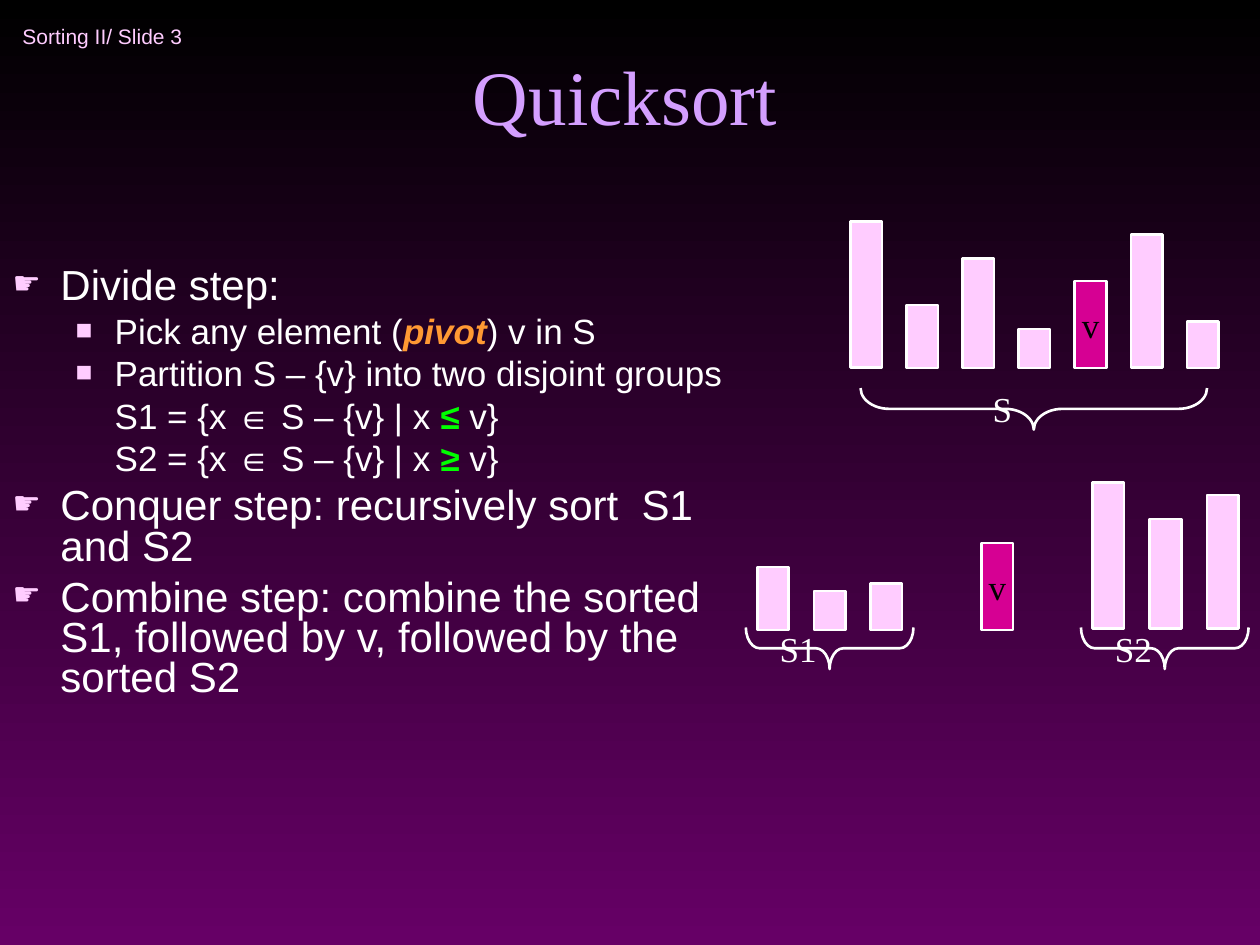
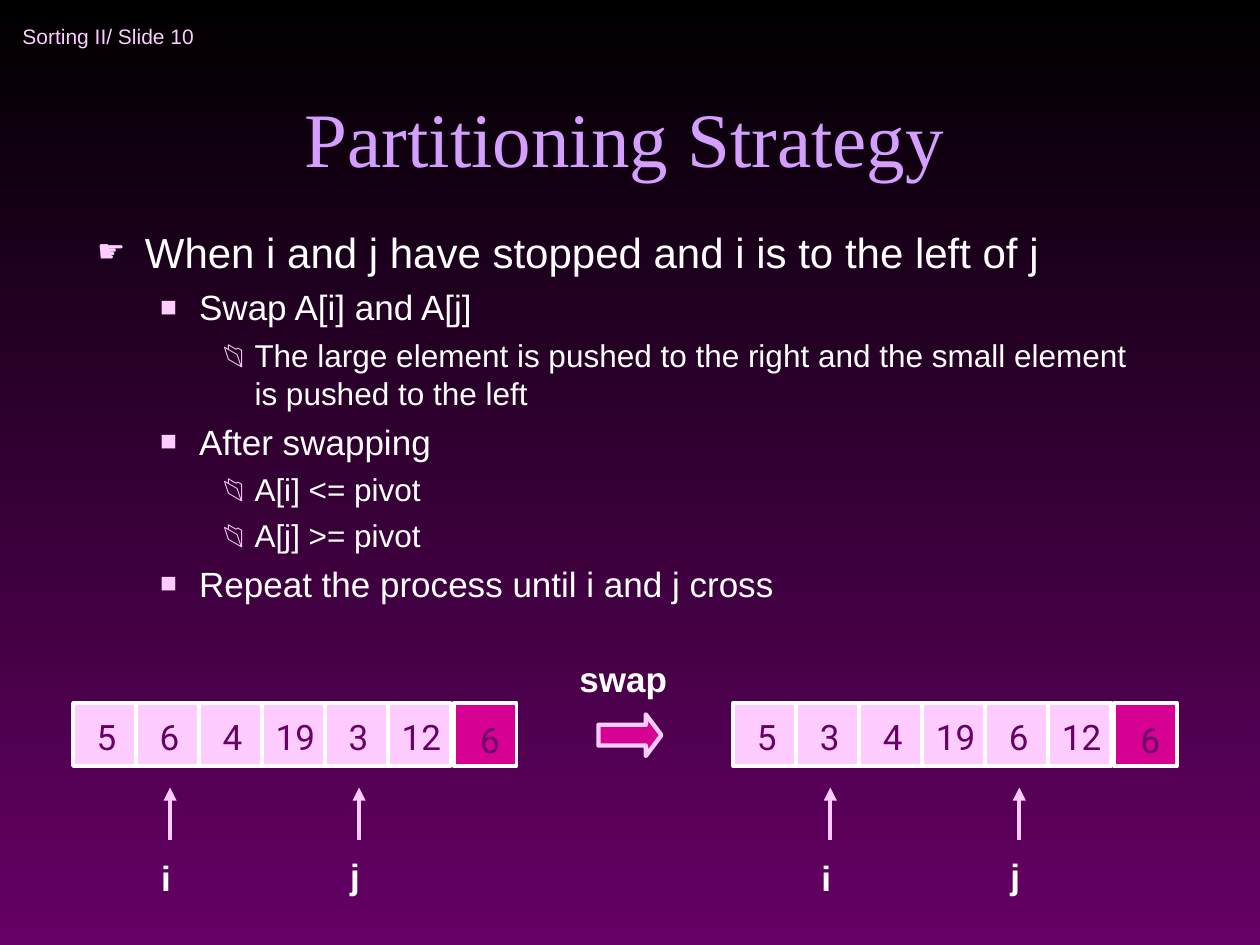
"""Build two lecture slides on quicksort and its partitioning strategy."""
from lxml import etree
from pptx import Presentation
from pptx import util as u
from pptx.dml import color
from pptx.enum import shapes, text
from pptx.oxml import ns

WIDTH, HEIGHT = 10, 7.5
BLACK, WHITE, PURPLE = "000000", "FFFFFF", "660066"
LILAC, PINK, MAGENTA = "D49FFF", "FFCCFF", "D60093"
ORANGE, GREEN = "FF9933", "00FF00"
SERIF, SANS, DIGITS = "Times New Roman", "Arial", "Roboto"

LEVELS = [
    {"bullet": "☛", "percent": 75, "left": 0.38, "hang": 0.38, "size": 24, "before": 6},
    {"bullet": "■", "percent": 80, "left": 0.81, "hang": 0.31, "size": 20, "before": 5},
    {"bullet": "📂", "percent": 80, "left": 1.25, "hang": 0.25, "size": 18, "before": 4.5},
]
PLAIN = {"bullet": None, "left": 0.81, "hang": 0, "size": 20, "before": 5}

PIVOT = {"color": ORANGE, "bold": True, "italic": True}
SIGN = {"color": GREEN, "bold": True}
QUICKSORT = {
    "number": 3,
    "title": "Quicksort",
    "title_at": (0.67, 0.25, 8.58, 0.92),
    "body_at": (0, 2.08, 6, 3.58),
    "spacing": 0.8,
    "body": [
        (LEVELS[0], ["Divide step:"]),
        (LEVELS[1], ["Pick any element (", ("pivot", PIVOT), ") v in S"]),
        (LEVELS[1], ["Partition S – {v} into two disjoint groups"]),
        (PLAIN, ["S1 = {x ∈ S – {v} | x ", ("≤ ", SIGN), "v}"]),
        (PLAIN, ["S2 = {x ∈ S – {v} | x ", ("≥", SIGN), " v}"]),
        (LEVELS[0], ["Conquer step: recursively sort  S1 and S2"]),
        (LEVELS[0], ["Combine step: combine the sorted S1, followed by v, "
                     "followed by the sorted S2"]),
    ],
}
PARTITIONING = {
    "number": 10,
    "title": "Partitioning Strategy",
    "title_at": (0.67, 0.25, 8.58, 1.25),
    "body_at": (0.67, 1.75, 8.58, 3.33),
    "spacing": 1,
    "body": [
        (LEVELS[0], ["When i and j have stopped and i is to the left of j"]),
        (LEVELS[1], ["Swap A[i] and A[j]"]),
        (LEVELS[2], ["The large element is pushed to the right and the small "
                     "element is pushed to the left"]),
        (LEVELS[1], ["After swapping"]),
        (LEVELS[2], ["A[i] <= pivot"]),
        (LEVELS[2], ["A[j] >= pivot"]),
        (LEVELS[1], ["Repeat the process until i and j cross"]),
    ],
}

BAR_WIDTH, PIVOT_HEIGHT = 0.25, 0.69
BAR_GROUPS = [
    {"left": 6.75, "step": 0.445, "base": 2.92,
     "heights": [1.16, 0.5, 0.87, 0.31, PIVOT_HEIGHT, 1.06, 0.37]},
    {"left": 6.01, "step": 0.45, "base": 5, "heights": [0.5, 0.31, 0.37]},
    {"left": 7.79, "step": 0.45, "base": 5, "heights": [PIVOT_HEIGHT]},
    {"left": 8.67, "step": 0.455, "base": 4.99, "heights": [1.16, 0.87, 1.06]},
]
BRACE_DEPTH = 0.33
BRACES = [("S", 6.83, 3.08, 2.75, 0.69), ("S1", 5.92, 4.98, 1.33, 0.33),
          ("S2", 8.58, 4.98, 1.33, 0.33)]

CELL, ARRAY_TOP, PIVOT_GAP = 0.5, 5.58, 0.02
ARRAYS = [(0.58, [5, 6, 4, 19, 3, 12, 6]), (5.82, [5, 3, 4, 19, 6, 12, 6])]
POINTERS = [("i", 1, 0.33, 6.75), ("j", 4, 0.42, 6.73)]
POINTER_TOP, POINTER_BOTTOM = 6.25, 6.67


def rgb(value):
    """Turn a hex string into a colour."""
    return color.RGBColor.from_string(value)


def inches(*lengths):
    """Turn numbers of inches into lengths."""
    return [u.Inches(length) for length in lengths]


def place(shape, at):
    """Move and size a shape."""
    shape.left, shape.top, shape.width, shape.height = inches(*at)


def set_font(font, size=20, name=SANS, color=WHITE, bold=False, italic=False):
    """Format a font."""
    font.size, font.name, font.bold, font.italic = u.Pt(size), name, bold, italic
    font.color.rgb = rgb(color)


def set_frame(shape, anchor="TOP", wrap=True, insets=(0.1, 0.05, 0.1, 0.05)):
    """Set how text sits in a shape and return its frame."""
    frame = shape.text_frame
    frame.auto_size = text.MSO_AUTO_SIZE.NONE
    frame.word_wrap = wrap
    frame.vertical_anchor = text.MSO_ANCHOR[anchor]
    (frame.margin_left, frame.margin_top,
     frame.margin_right, frame.margin_bottom) = inches(*insets)
    return frame


def write(shape, words, align="LEFT", anchor="TOP", wrap=True,
          insets=(0.1, 0.05, 0.1, 0.05), **font):
    """Write one formatted paragraph into a shape."""
    para = set_frame(shape, anchor, wrap, insets).paragraphs[0]
    para.alignment = text.PP_ALIGN[align]
    span = para.add_run()
    span.text = words
    set_font(span.font, **font)


def add_label(page, words, at, **layout):
    """Add a text box."""
    write(page.shapes.add_textbox(*inches(*at)), words, **layout)


def add_shape(page, kind, at, fill=PINK, line=WHITE, weight=1.5):
    """Add a flat preset shape."""
    shape = page.shapes.add_shape(shapes.MSO_SHAPE[kind], *inches(*at))
    shape.shadow.inherit = False
    if fill:
        shape.fill.solid()
        shape.fill.fore_color.rgb = rgb(fill)
    else:
        shape.fill.background()
    shape.line.color.rgb = rgb(line)
    shape.line.width = u.Pt(weight)
    return shape


def add_element(parent, tag, **attributes):
    """Append a drawing element."""
    return etree.SubElement(parent, ns.qn(tag), attributes)


def set_bullet(para, level):
    """Set the indent and the bullet of a paragraph."""
    props = para._p.get_or_add_pPr()
    props.set("marL", str(u.Inches(level["left"])))
    props.set("indent", str(-u.Inches(level["hang"])))
    if level["bullet"]:
        add_element(add_element(props, "a:buClr"), "a:srgbClr", val=PINK)
        add_element(props, "a:buSzPct", val=str(level["percent"] * 1000))
        add_element(props, "a:buChar", char=level["bullet"])
    else:
        add_element(props, "a:buNone")


def fill_body(frame, items, spacing):
    """Write the bulleted list."""
    for index, (level, spans) in enumerate(items):
        para = frame.add_paragraph() if index else frame.paragraphs[0]
        set_bullet(para, level)
        para.level = LEVELS.index(level) if level in LEVELS else 1
        para.line_spacing = spacing
        para.space_before = u.Pt(level["before"] if index else 0)
        for part in spans:
            words, style = (part, {}) if isinstance(part, str) else part
            span = para.add_run()
            span.text = words
            set_font(span.font, size=level["size"], **style)


def add_page(deck, content):
    """Add a slide with its header, title and list."""
    page = deck.slides.add_slide(deck.slide_layouts[1])
    title, body = page.placeholders
    add_label(page, f"Sorting II/ Slide {content['number']}", (0.08, 0.08, 2.75, 0.42),
              anchor="MIDDLE", wrap=False, size=12, color=PINK)
    place(title, content["title_at"])
    write(title, content["title"], align="CENTER", anchor="BOTTOM",
          size=44, name=SERIF, color=LILAC)
    place(body, content["body_at"])
    fill_body(set_frame(body), content["body"], content["spacing"])
    return page


def draw_bars(page, left, step, base, heights):
    """Draw a row of bars standing on one base line."""
    for column, height in enumerate(heights):
        at = (left + column * step, base - height, BAR_WIDTH, height)
        is_pivot = height == PIVOT_HEIGHT
        bar = add_shape(page, "RECTANGLE", at, fill=MAGENTA if is_pivot else PINK)
        if is_pivot:
            write(bar, "v", align="CENTER", anchor="MIDDLE", wrap=False,
                  name=SERIF, color=BLACK)


def draw_brace(page, name, left, top, length, curve):
    """Draw a brace pointing down, with its label left of the tip."""
    center, middle = left + length / 2, top + BRACE_DEPTH / 2
    at = (center - BRACE_DEPTH / 2, middle - length / 2, BRACE_DEPTH, length)
    brace = add_shape(page, "LEFT_BRACE", at, fill=None)
    brace.adjustments[0] = curve
    brace.rotation = 270
    add_label(page, name, (center - 0.5, middle - 0.2, 0.5, 0.4), align="CENTER",
              anchor="MIDDLE", wrap=False, insets=(0, 0, 0, 0), name=SERIF)


def draw_array(page, left, values):
    """Draw an array whose last cell holds the pivot, with its two pointers."""
    last = len(values) - 1
    for column, value in enumerate(values):
        is_pivot = column == last
        x = left + column * CELL + PIVOT_GAP * is_pivot
        cell = add_shape(page, "RECTANGLE", (x, ARRAY_TOP, CELL, CELL),
                         fill=MAGENTA if is_pivot else PINK, weight=2.25)
        shift = 0.08 if is_pivot else 0.03
        write(cell, str(value), align="CENTER", anchor="MIDDLE", wrap=False,
              insets=(shift, shift, 0, 0), name=DIGITS, color=PURPLE)
    for name, column, width, top in POINTERS:
        x = left + column * CELL + 0.27
        draw_pointer(page, x)
        add_label(page, name, (x - 0.17, top, width, 0.44), bold=True)


def draw_pointer(page, x):
    """Draw an arrow pointing up at a cell."""
    arrow = page.shapes.add_connector(shapes.MSO_CONNECTOR.STRAIGHT,
                                      *inches(x, POINTER_BOTTOM, x, POINTER_TOP))
    arrow.line.color.rgb = rgb(PINK)
    arrow.line.width = u.Pt(2.5)
    add_element(arrow.line._get_or_add_ln(), "a:tailEnd", type="triangle")
    add_element(arrow._element.spPr, "a:effectLst")


def set_background(master):
    """Give every slide the same gradient."""
    fill = master.background.fill
    fill.gradient()
    fill.gradient_angle = 270
    for stop, value in zip(fill.gradient_stops, (BLACK, PURPLE)):
        stop.color.rgb = rgb(value)


def main():
    """Build and save the deck."""
    deck = Presentation()
    deck.slide_width, deck.slide_height = inches(WIDTH, HEIGHT)
    set_background(deck.slide_master)

    page = add_page(deck, QUICKSORT)
    for group in BAR_GROUPS:
        draw_bars(page, **group)
    for brace in BRACES:
        draw_brace(page, *brace)

    page = add_page(deck, PARTITIONING)
    arrow = add_shape(page, "RIGHT_ARROW", (4.75, 5.67, 0.5, 0.33),
                      fill=MAGENTA, line=PINK, weight=2.5)
    arrow.adjustments[1] = 0.375
    add_label(page, "swap", (4.5, 5.17, 1.08, 0.44), bold=True)
    for left, values in ARRAYS:
        draw_array(page, left, values)

    deck.save("out.pptx")


if __name__ == "__main__":
    main()
